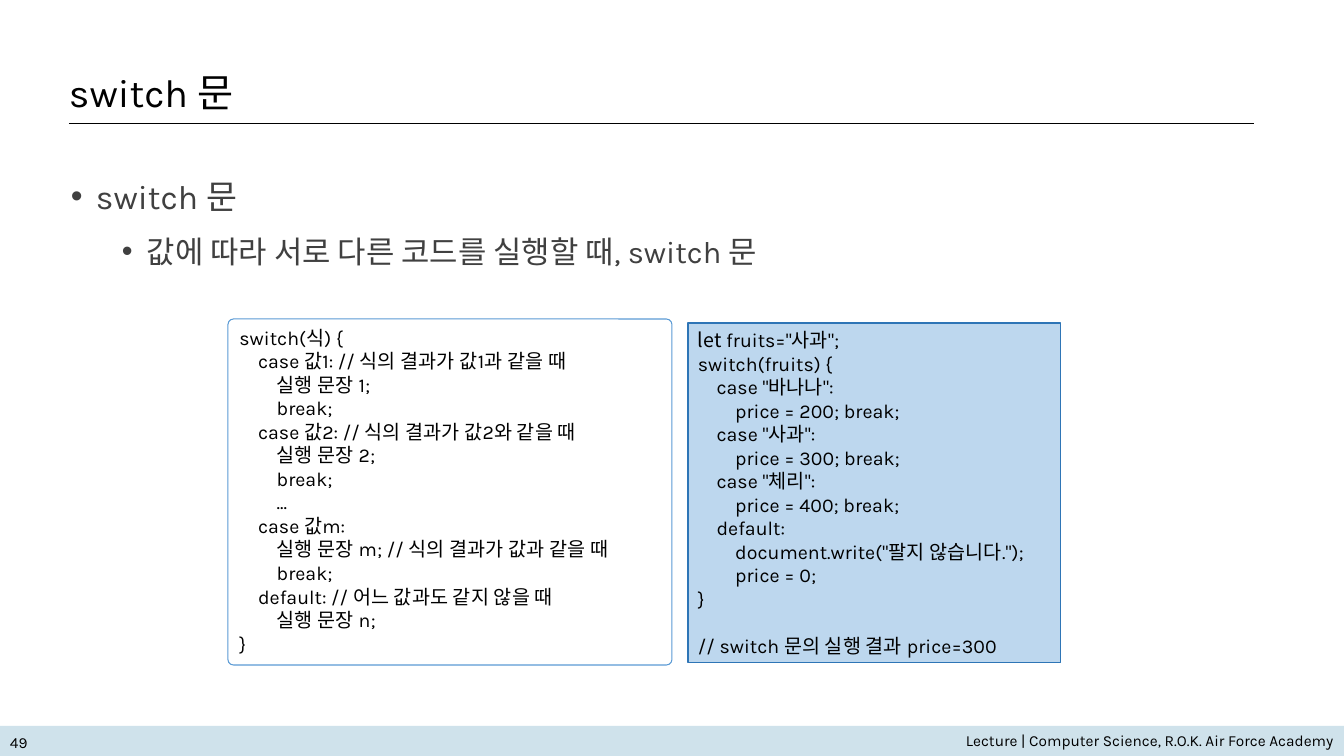
from lxml import etree
from pptx import Presentation
from pptx.dml.color import RGBColor
from pptx.enum.shapes import MSO_CONNECTOR, MSO_SHAPE
from pptx.enum.text import MSO_ANCHOR, PP_ALIGN
from pptx.oxml.ns import qn
from pptx.util import Pt

# Content
TITLE = "switch 문"
BULLETS = [
    # text, size, left indent px, level, space before pt
    ("switch 문", 24, 25, 0, 0),
    ("값에 따라 서로 다른 코드를 실행할 때, switch 문", 22, 76, 1, 5),
]
SYNTAX = [
    "switch(식) {",
    "    case 값1: // 식의 결과가 값1과 같을 때",
    "        실행 문장 1;",
    "        break;",
    "    case 값2: // 식의 결과가 값2와 같을 때",
    "        실행 문장 2;",
    "        break;",
    "        ...",
    "    case 값m:",
    "        실행 문장 m; // 식의 결과가 값과 같을 때",
    "        break;",
    "    default: // 어느 값과도 같지 않을 때",
    "        실행 문장 n;",
    "}",
]
EXAMPLE_KEYWORD = "let"
EXAMPLE = [
    " fruits=\"사과\";",
    "switch(fruits) {",
    "    case \"바나나\":",
    "        price = 200; break;",
    "    case \"사과\":",
    "        price = 300; break;",
    "    case \"체리\":",
    "        price = 400; break;",
    "    default:",
    "        document.write(\"팔지 않습니다.\");",
    "        price = 0;",
    "}",
]
EXAMPLE_RESULT = "// switch 문의 실행 결과 price=300"
FOOTER = "Lecture | Computer Science, R.O.K. Air Force Academy"
PAGE_NUMBER = "49"

# Layout in px
EMU_PER_PX = 914400 / 100.8
SLIDE_SIZE = (1344, 756)
FOOTER_BAR = (0, 726, 1344, 30)
FOOTER_BOX = (76, 726, 1268, 28)
NUMBER_BOX = (0, 730, 76, 24)
TITLE_BOX = (61, 74, 1190, 42)
BODY_BOX = (61, 161, 1192, 520)
SYNTAX_BOX = (228, 319, 444, 346)
EXAMPLE_BOX = (688, 323, 373, 340)
TITLE_RULES = [(73, 123, 1254), (69, 123, 1253)]  # left, y, right
CODE_LINE = 17  # pt, height of one line of code
LATIN, KOREAN = "Karla", "Noto Sans CJK KR"


def px(value):
    return round(value * EMU_PER_PX)


def color(value):
    return RGBColor.from_string(value)


def add_run(paragraph, text, size=14, font=LATIN, fill="000000", kerning=None):
    run = paragraph.add_run()
    run.text = text
    run.font.size = Pt(size)
    run.font.name = font
    run.font.color.rgb = color(fill)
    properties = run.font._element
    etree.SubElement(properties, qn("a:ea"), typeface=font)
    if kerning is not None:
        properties.set("kern", str(kerning))


def add_text(frame, text, align=PP_ALIGN.LEFT, left=0, first=0, level=0,
             bullet=None, spacing=None, before=0, lead="", **run_format):
    paragraph = frame.paragraphs[0]
    if paragraph.runs:
        paragraph = frame.add_paragraph()
    paragraph.alignment = align
    paragraph.level = level
    properties = paragraph._p.get_or_add_pPr()
    properties.set("marL", str(px(left)))
    properties.set("indent", str(px(first)))
    if bullet:
        etree.SubElement(properties, qn("a:buFont"), typeface="Arial")
        etree.SubElement(properties, qn("a:buChar"), char=bullet)
    if spacing:
        paragraph.line_spacing = spacing
    if before:
        paragraph.space_before = Pt(before)
    if lead:
        add_run(paragraph, lead, font=KOREAN)
    add_run(paragraph, text, **run_format)


def add_box(slide, box, anchor=MSO_ANCHOR.TOP):
    frame = slide.shapes.add_textbox(*map(px, box)).text_frame
    frame.word_wrap = True
    frame.vertical_anchor = anchor
    return frame


def add_panel(slide, kind, box, fill=None, line=None):
    shape = slide.shapes.add_shape(kind, *map(px, box))
    shape.shadow.inherit = False
    if fill:
        shape.fill.solid()
        shape.fill.fore_color.rgb = color(fill)
    else:
        shape.fill.background()
    if line:
        shape.line.color.rgb = color(line)
        shape.line.width = Pt(0.75)
    else:
        shape.line.fill.background()
    shape.text_frame.word_wrap = True
    shape.text_frame.vertical_anchor = MSO_ANCHOR.TOP
    return shape


def add_rule(slide, left, y, right):
    rule = slide.shapes.add_connector(MSO_CONNECTOR.STRAIGHT, px(left), px(y), px(right), px(y))
    rule.line.color.rgb = color("000000")
    rule.line.width = Pt(0.5)
    etree.SubElement(rule._element.spPr, qn("a:effectLst"))


def main():
    presentation = Presentation()
    presentation.slide_width, presentation.slide_height = map(px, SLIDE_SIZE)
    slide = presentation.slides.add_slide(presentation.slide_layouts[6])

    # Footer
    add_panel(slide, MSO_SHAPE.RECTANGLE, FOOTER_BAR, fill="CFE2EB")
    add_text(add_box(slide, FOOTER_BOX), FOOTER, align=PP_ALIGN.RIGHT, size=11)
    add_text(add_box(slide, NUMBER_BOX, MSO_ANCHOR.MIDDLE), PAGE_NUMBER, size=11)

    # Title and its rules
    for rule in TITLE_RULES:
        add_rule(slide, *rule)
    title = add_box(slide, TITLE_BOX, MSO_ANCHOR.MIDDLE)
    title.margin_left = title.margin_right = title.margin_top = title.margin_bottom = 0
    add_text(title, TITLE, first=8, spacing=0.9, size=28)

    # Bullets
    body = add_box(slide, BODY_BOX)
    for text, size, left, level, before in BULLETS:
        add_text(body, text, left=left, first=-25, level=level, bullet="•",
                 spacing=1.25, before=before, size=size, fill="404040", kerning=0)

    # Syntax panel
    syntax = add_panel(slide, MSO_SHAPE.ROUNDED_RECTANGLE, SYNTAX_BOX, line="5B9BD5")
    syntax.adjustments[0] = 0.016
    for text in SYNTAX:
        add_text(syntax.text_frame, text)

    # Example panel
    example = add_panel(slide, MSO_SHAPE.RECTANGLE, EXAMPLE_BOX, fill="BDD7EE", line="2E75B6")
    for row, text in enumerate(EXAMPLE):
        add_text(example.text_frame, text, lead="" if row else EXAMPLE_KEYWORD)
    add_text(example.text_frame, EXAMPLE_RESULT, before=CODE_LINE)

    presentation.save("out.pptx")


if __name__ == "__main__":
    main()
